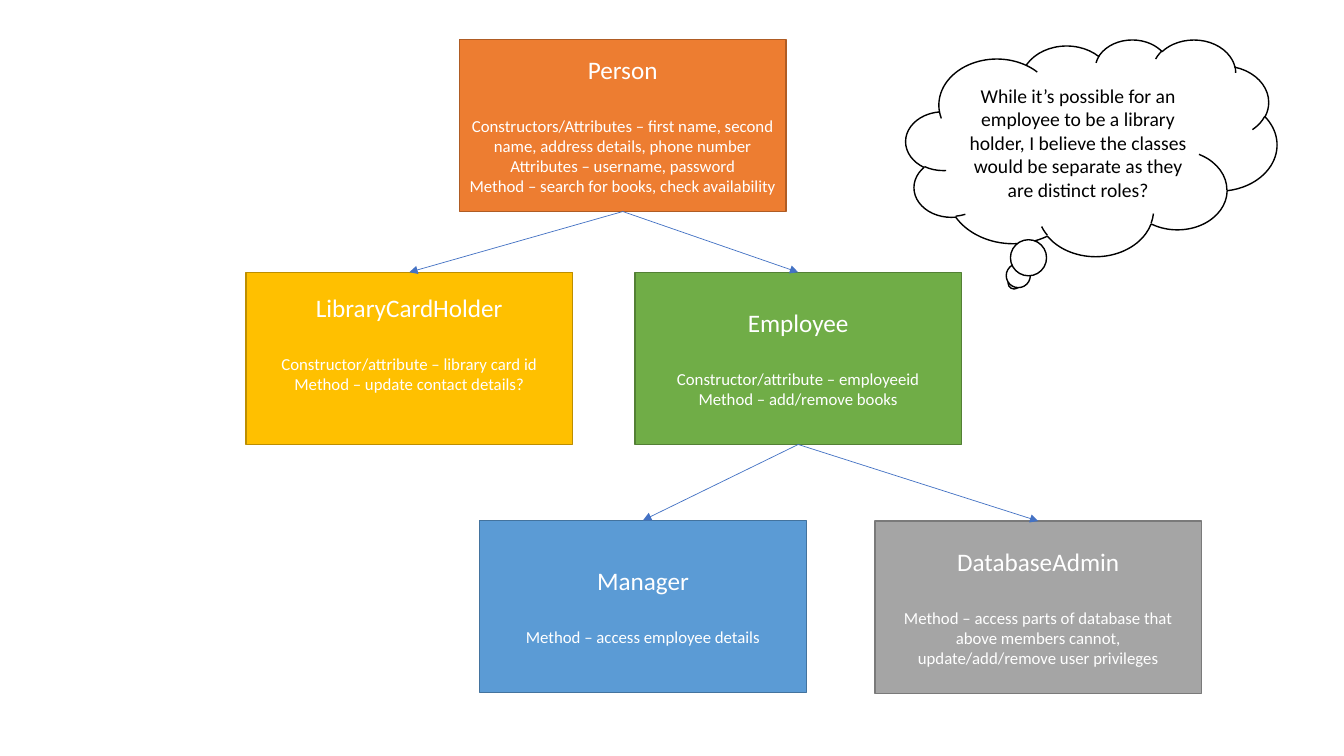
from dataclasses import dataclass

from lxml.etree import SubElement
from pptx import Presentation
from pptx.dml.color import RGBColor
from pptx.enum.shapes import MSO_CONNECTOR as Link, MSO_SHAPE as Form
from pptx.enum.text import MSO_ANCHOR as Anchor, PP_ALIGN as Align
from pptx.oxml.ns import qn
from pptx.shapes.autoshape import Shape
from pptx.shapes.connector import Connector
from pptx.shapes.shapetree import SlideShapes
from pptx.util import Cm, Pt

WIDE, HIGH = 8.23, 4.34
TOP, BOTTOM = 0, 2
GAP = Pt(22)


@dataclass(frozen=True)
class Role:
    """A class box with its title and members."""

    name: str
    left: float
    top: float
    fill: str
    edge: str
    notes: tuple[str, ...]
    foot: float = 0.13


ROLES = (
    Role("Person", 11.58, 0.99, "ED7D31", "AF5C24", (
        "Constructors/Attributes – first name, second name, address details, phone number",
        "Attributes – username, password",
        "Method – search for books, check availability")),
    Role("LibraryCardHolder", 6.2, 6.86, "FFC000", "BD8E00", (
        "Constructor/attribute – library card id",
        "Method – update contact details?"), 0.9),
    Role("Employee", 16, 6.86, "70AD47", "538035", (
        "Constructor/attribute – employeeid",
        "Method – add/remove books")),
    Role("Manager", 12.09, 13.11, "5B9BD5", "43739E", (
        "Method – access employee details",)),
    Role("DatabaseAdmin", 22.05, 13.13, "A5A5A5", "7A7A7A", (
        "Method – access parts of database that above members cannot, "
        "update/add/remove user privileges",)),
)
LINKS = (
    ("Person", "LibraryCardHolder"),
    ("Person", "Employee"),
    ("Employee", "Manager"),
    ("Employee", "DatabaseAdmin"),
)
DOUBT = ("While it’s possible for an employee to be a library holder, "
         "I believe the classes would be separate as they are distinct roles?")


def color(code: str) -> RGBColor:
    """Turn a hex string into a colour."""
    return RGBColor.from_string(code)


def add_form(shapes: SlideShapes, form: Form, left: float, top: float,
             wide: float, high: float, fill: str, edge: str) -> Shape:
    """Add a filled and outlined shape without a shadow."""
    shape = shapes.add_shape(form, Cm(left), Cm(top), Cm(wide), Cm(high))
    shape.shadow.inherit = False
    shape.fill.solid()
    shape.fill.fore_color.rgb = color(fill)
    shape.line.color.rgb = color(edge)
    shape.line.width = Pt(1)
    return shape


def write(shape: Shape, text: str, sizes: list[int], ink: str) -> None:
    """Write centred paragraphs, one size for each."""
    frame = shape.text_frame
    frame.text = text
    frame.word_wrap = True
    frame.vertical_anchor = Anchor.MIDDLE
    for para, size in zip(frame.paragraphs, sizes):
        para.alignment = Align.CENTER
        for run in para.runs:
            run.font.name = "Calibri"
            run.font.size = Pt(size)
            run.font.color.rgb = color(ink)


def add_role(shapes: SlideShapes, role: Role) -> Shape:
    """Draw one class box."""
    box = add_form(shapes, Form.FLOWCHART_PROCESS, role.left, role.top,
                   WIDE, HIGH, role.fill, role.edge)
    write(box, "\n".join((role.name, *role.notes)),
          [18] + [12] * len(role.notes), "FFFFFF")
    box.text_frame.paragraphs[0].space_after = GAP
    box.text_frame.margin_bottom = Cm(role.foot)
    return box


def add_link(shapes: SlideShapes, start: Shape, end: Shape) -> Connector:
    """Draw an arrow from one box down to another."""
    link = shapes.add_connector(Link.STRAIGHT, 0, 0, 0, 0)
    link.begin_connect(start, BOTTOM)
    link.end_connect(end, TOP)
    link.line.color.rgb = color("4472C4")
    link.line.width = Pt(0.5)
    props = link.element.spPr
    SubElement(props.find(qn("a:ln")), qn("a:tailEnd"), type="triangle")
    SubElement(props, qn("a:effectLst"))
    return link


def main() -> None:
    """Build and save the slide."""
    deck = Presentation()
    deck.slide_width, deck.slide_height = Cm(33.87), Cm(19.05)
    shapes = deck.slides.add_slide(deck.slide_layouts[6]).shapes
    boxes = {role.name: add_role(shapes, role) for role in ROLES}
    for start, end in LINKS:
        add_link(shapes, boxes[start], boxes[end])
    cloud = add_form(shapes, Form.CLOUD_CALLOUT, 22.83, 0.99, 9.35, 5.46,
                     "FFFFFF", "000000")
    write(cloud, DOUBT, [14], "000000")
    deck.save("out.pptx")


main()
